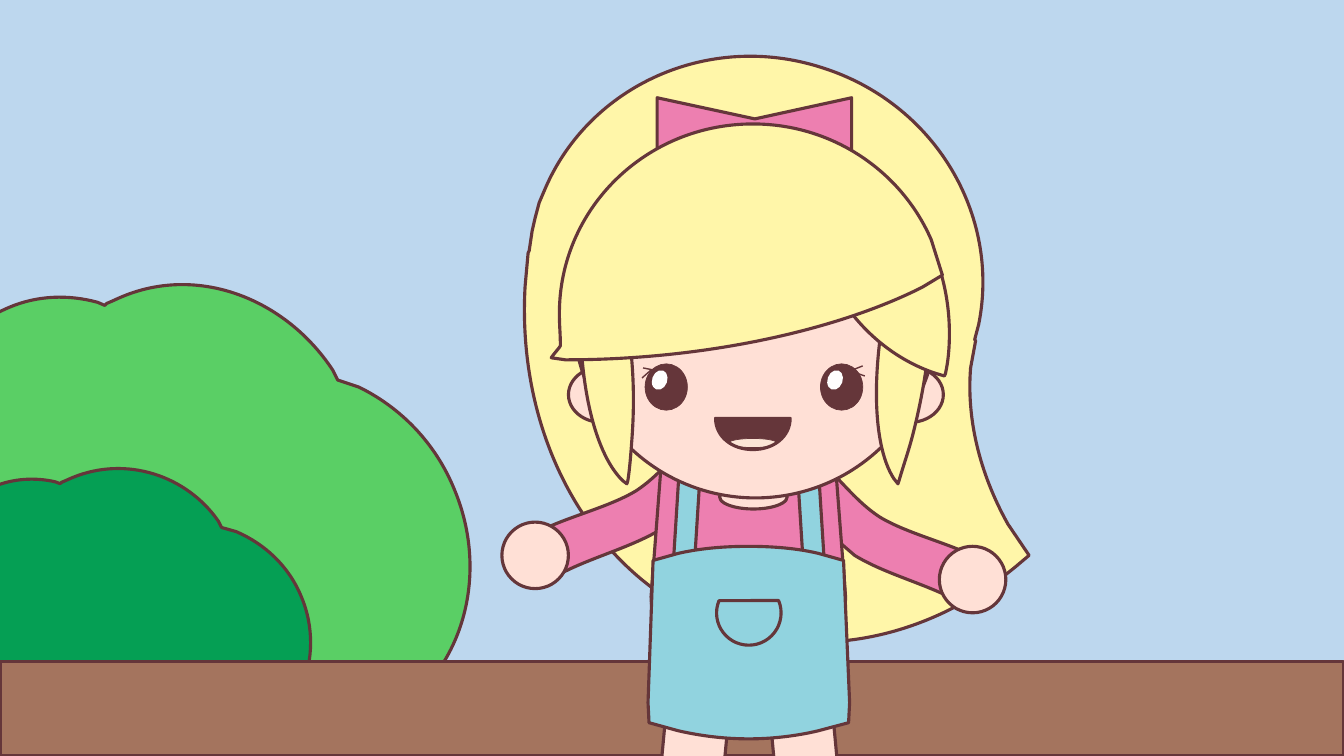
import pptx
import pptx.dml.color
import pptx.enum.shapes
import pptx.oxml.ns
import pptx.util
from dataclasses import dataclass
from lxml import etree
from pptx.util import Cm

COLORS = {
    "sky": "BDD7EE", "leaf": "5ACF65", "dark_leaf": "059F54", "soil": "A4745E",
    "outline": "65363A", "hair": "FFF6A9", "skin": "FFE0D6", "pink": "ED7FB0",
    "denim": "91D3DF", "tongue": "FBE5D6", "white": "FFFFFF",
}
KINDS = pptx.enum.shapes.MSO_SHAPE


@dataclass
class Box:
    """A region of the slide: its corner and the length of one drawing unit."""
    slide: object
    left: int
    top: int
    unit: int

    def place(self, x, y):
        """Turn drawing units into a position on the slide."""
        return round(self.left + x * self.unit), round(self.top + y * self.unit)


def color(name):
    """Return a named colour."""
    return pptx.dml.color.RGBColor.from_string(COLORS[name])


def paint(shape, fill, line=2.25):
    """Set fill and outline; None leaves either one out."""
    shape.shadow.inherit = False
    if fill:
        shape.fill.solid()
        shape.fill.fore_color.rgb = color(fill)
    else:
        shape.fill.background()
    if line:
        shape.line.color.rgb = color("outline")
        shape.line.width = pptx.util.Pt(line)
    else:
        shape.line.fill.background()


def preset(box, kind, left, top, width, height, fill, line=2.25, rotation=0):
    """Add a preset shape."""
    x, y = box.place(left, top)
    shape = box.slide.shapes.add_shape(
        kind, x, y, round(width * box.unit), round(height * box.unit))
    shape.rotation = rotation
    paint(shape, fill, line)


def bend(shape, outline):
    """Join the three lines of each six-number segment into one cubic curve."""
    lines = iter(list(shape._element.iter(pptx.oxml.ns.qn("a:lnTo"))))
    for segment in outline[1:]:
        curve = next(lines)
        if len(segment) == 6:
            curve.tag = pptx.oxml.ns.qn("a:cubicBezTo")
            for line in (next(lines), next(lines)):
                curve.append(line[0])
                line.getparent().remove(line)


def freeform(box, outline, fill, line=2.25, change=lambda x, y: (x, y)):
    """Add a closed outline, with its points changed by a linear mapping."""
    points = [box.place(*change(*segment[i:i + 2]))
              for segment in outline for i in range(0, len(segment), 2)]
    builder = box.slide.shapes.build_freeform(*points[0])
    builder.add_line_segments(points[1:], close=True)
    shape = builder.convert_to_shape()
    bend(shape, outline)
    paint(shape, fill, line)


def lash(box, start, end):
    """Add one eyelash."""
    connector = box.slide.shapes.add_connector(
        pptx.enum.shapes.MSO_CONNECTOR.STRAIGHT, *box.place(*start), *box.place(*end))
    connector.line.color.rgb = color("outline")
    connector.line.width = pptx.util.Pt(1)
    etree.SubElement(connector._element.spPr, pptx.oxml.ns.qn("a:effectLst"))


def draw_garden(box):
    """Draw two bushes of one outline behind a strip of soil."""
    bush = [
        (4.51, 4.86), (4.9, 5.8, 4.52, 6.85, 3.67, 7.2), (3.51, 7.27, 3.34, 7.31, 3.18, 7.32),
        (3.07, 7.32), (3.04, 7.34), (2.93, 7.42, 2.8, 7.49, 2.67, 7.54),
        (1.6, 7.98, 0.36, 7.44, -0.1, 6.32), (-0.18, 6.11, -0.24, 5.89, -0.26, 5.68),
        (-0.26, 5.65), (-0.3, 5.61), (-0.44, 5.46, -0.56, 5.28, -0.65, 5.08),
        (-0.98, 4.26, -0.65, 3.36, 0.09, 3.05), (0.37, 2.93, 0.68, 2.92, 0.97, 3),
        (1.04, 3.03), (1.06, 3.01), (1.11, 2.99, 1.17, 2.96, 1.22, 2.94),
        (1.97, 2.63, 2.83, 2.96, 3.3, 3.67), (3.35, 3.77), (3.56, 3.84),
        (3.97, 4.04, 4.32, 4.39, 4.51, 4.86)]
    freeform(box, bush, "leaf")
    freeform(box, bush, "dark_leaf", change=lambda x, y: (
        0.7 * x - 0.02 * y - 0.07, 0.65 * y - 0.02 * x + 2.85))
    preset(box, KINDS.RECTANGLE, 0, 6.56, 13.33, 0.94, "soil")


def draw_back_hair(box):
    """Draw the long hair behind the girl."""
    freeform(box, [
        (3.15, 0.67), (4.27, 1.02, 4.93, 2.13, 4.71, 3.22), (4.67, 3.37), (4.68, 3.38),
        (4.63, 3.65), (4.59, 4.14, 4.71, 4.68, 5, 5.2), (5.21, 5.51), (5.08, 5.62),
        (4.28, 6.28, 3.25, 6.55, 2.28, 6.25), (0.93, 5.82, 0.12, 4.41, 0.21, 2.84),
        (0.24, 2.51), (0.25, 2.49), (0.28, 2.29), (0.31, 2.16), (0.35, 2.01), (0.41, 1.87),
        (0.85, 0.85, 2.03, 0.31, 3.15, 0.67)], "hair")


def draw_body(box):
    """Draw legs, arms, shirt and overalls."""
    leg = [(3.18, 6.2), (2.56, 6.25), (2.7, 7.75), (2.72, 7.97, 2.87, 8.13, 3.05, 8.12),
           (3.22, 8.1, 3.34, 7.91, 3.32, 7.69)]
    freeform(box, leg, "skin")
    freeform(box, leg, "skin", change=lambda x, y: (4.87 - x, y))
    sleeve = [
        (2.29, 4.62), (2.4, 4.55, 2.44, 4.4, 2.37, 4.29), (2.3, 4.18, 2.15, 4.14, 2.04, 4.21),
        (1.75, 4.41, 1.6, 4.68, 1.31, 4.87), (1.01, 5.05, 0.56, 5.14, 0.26, 5.32),
        (0.15, 5.39, 0.11, 5.53, 0.18, 5.64), (0.25, 5.76, 0.4, 5.79, 0.51, 5.72),
        (0.82, 5.54, 1.25, 5.44, 1.56, 5.25)]
    freeform(box, sleeve, "pink")
    preset(box, KINDS.OVAL, -0.02, 5.18, 0.66, 0.66, "skin")
    freeform(box, sleeve, "pink", change=lambda x, y: (5.04 - x, y + 0.26))
    preset(box, KINDS.OVAL, 4.32, 5.42, 0.66, 0.66, "skin")
    freeform(box, [
        (1.78, 1.75), (3.07, 1.75), (3.39, 5.92), (3.39, 6.32, 2.96, 6.64, 2.43, 6.64),
        (1.89, 6.64, 1.46, 6.32, 1.46, 5.92)], "pink")
    preset(box, KINDS.OVAL, 2.14, 4.81, 0.67, 0.24, "skin")
    for strap_left, rotation in ((2.94, 356.4), (1.71, 3.6)):
        preset(box, KINDS.RECTANGLE, strap_left, 4.64, 0.21, 0.97, "denim", rotation=rotation)
    freeform(box, [
        (2.43, 5.42), (2.67, 5.42, 2.91, 5.44, 3.12, 5.49), (3.37, 5.56), (3.43, 6.97),
        (3.42, 7.17), (3.12, 7.25), (2.91, 7.3, 2.67, 7.33, 2.43, 7.33),
        (2.18, 7.33, 1.95, 7.3, 1.73, 7.25), (1.44, 7.17), (1.43, 6.97), (1.48, 5.56),
        (1.73, 5.49), (1.95, 5.44, 2.18, 5.42, 2.43, 5.42)], "denim")
    preset(box, KINDS.CHORD, 2.11, 5.76, 0.64, 0.64, "denim", rotation=292.3)


def draw_face(box):
    """Draw ears, face, mouth and eyes."""
    for ear_left in (3.7, 0.64):
        preset(box, KINDS.OVAL, ear_left, 3.64, 0.66, 0.55, "skin")
    preset(box, KINDS.OVAL, 0.69, 1.32, 3.61, 3.62, "skin")
    mouth = [(2.1, 4.15), (2.84, 4.15), (2.84, 4.33, 2.68, 4.46, 2.47, 4.46),
             (2.26, 4.46, 2.1, 4.33, 2.1, 4.15)]
    freeform(box, mouth, "outline", 0.5)
    preset(box, KINDS.OVAL, 2.23, 4.35, 0.48, 0.09, "tongue", 0.5)
    freeform(box, mouth, None)
    eyes = (
        (3.14, [((3.41, 3.69), (3.56, 3.63)), ((3.41, 3.67), (3.58, 3.73))]),
        (1.4, [((1.37, 3.75), (1.46, 3.67)), ((1.38, 3.65), (1.48, 3.67))]))
    for eye_left, lashes in eyes:
        preset(box, KINDS.OVAL, eye_left, 3.61, 0.42, 0.46, "outline", 0.5)
        preset(box, KINDS.OVAL, eye_left + 0.07, 3.67, 0.15, 0.2, "white", None, 19.6)
        for start, end in lashes:
            lash(box, start, end)


def draw_front_hair(box):
    """Draw the bow, the side locks and the fringe."""
    freeform(box, [(1.52, 0.97), (2.49, 1.18), (3.45, 0.97), (3.45, 1.74), (2.49, 1.53),
                   (1.52, 1.74)], "pink")
    right_lock = [
        (4.03, 2.11), (4.06, 2.15), (4.3, 2.5, 4.3, 3.38, 4.05, 4.34),
        (4.01, 4.49, 3.96, 4.63, 3.92, 4.77), (3.91, 4.8), (3.87, 4.75),
        (3.64, 4.4, 3.63, 3.53, 3.89, 2.57), (3.93, 2.42, 3.97, 2.27, 4.02, 2.14)]
    side_sweep = [
        (3.05, 1.39), (3.16, 1.42), (3.89, 1.67, 4.42, 2.42, 4.42, 3.31),
        (4.42, 3.44, 4.41, 3.58, 4.38, 3.71), (4.37, 3.73), (4.27, 3.7),
        (3.54, 3.45, 3.01, 2.7, 3.01, 1.81), (3.01, 1.68, 3.02, 1.54, 3.05, 1.42)]
    left_lock = [
        (0.82, 2.33), (0.87, 2.37), (1.16, 2.65, 1.34, 3.44, 1.27, 4.36),
        (1.26, 4.5, 1.25, 4.64, 1.23, 4.77), (1.22, 4.8), (1.18, 4.77),
        (0.88, 4.48, 0.71, 3.69, 0.77, 2.77), (0.78, 2.63, 0.8, 2.49, 0.82, 2.36)]
    fringe = [
        (2.47, 1.23), (3.27, 1.23, 3.95, 1.71, 4.24, 2.38), (4.35, 2.73), (4.15, 2.85),
        (3.32, 3.27, 2.01, 3.57, 0.61, 3.57), (0.47, 3.55), (0.47, 3.54, 0.56, 3.44, 0.56, 3.43),
        (0.56, 3.31, 0.55, 3.24, 0.55, 3.11), (0.55, 2.07, 1.41, 1.23, 2.47, 1.23)]
    for strand in (right_lock, side_sweep, left_lock, fringe):
        freeform(box, strand, "hair")


def main():
    """Build the slide and save it."""
    presentation = pptx.Presentation()
    presentation.slide_width, presentation.slide_height = Cm(33.87), Cm(19.05)
    slide = presentation.slides.add_slide(presentation.slide_layouts[6])
    slide.background.fill.solid()
    slide.background.fill.fore_color.rgb = color("sky")
    draw_garden(Box(slide, Cm(0), Cm(0), Cm(2.54)))
    girl = Box(slide, Cm(12.7), Cm(0), Cm(2.54))
    for draw in (draw_back_hair, draw_body, draw_face, draw_front_hair):
        draw(girl)
    presentation.save("out.pptx")


main()
